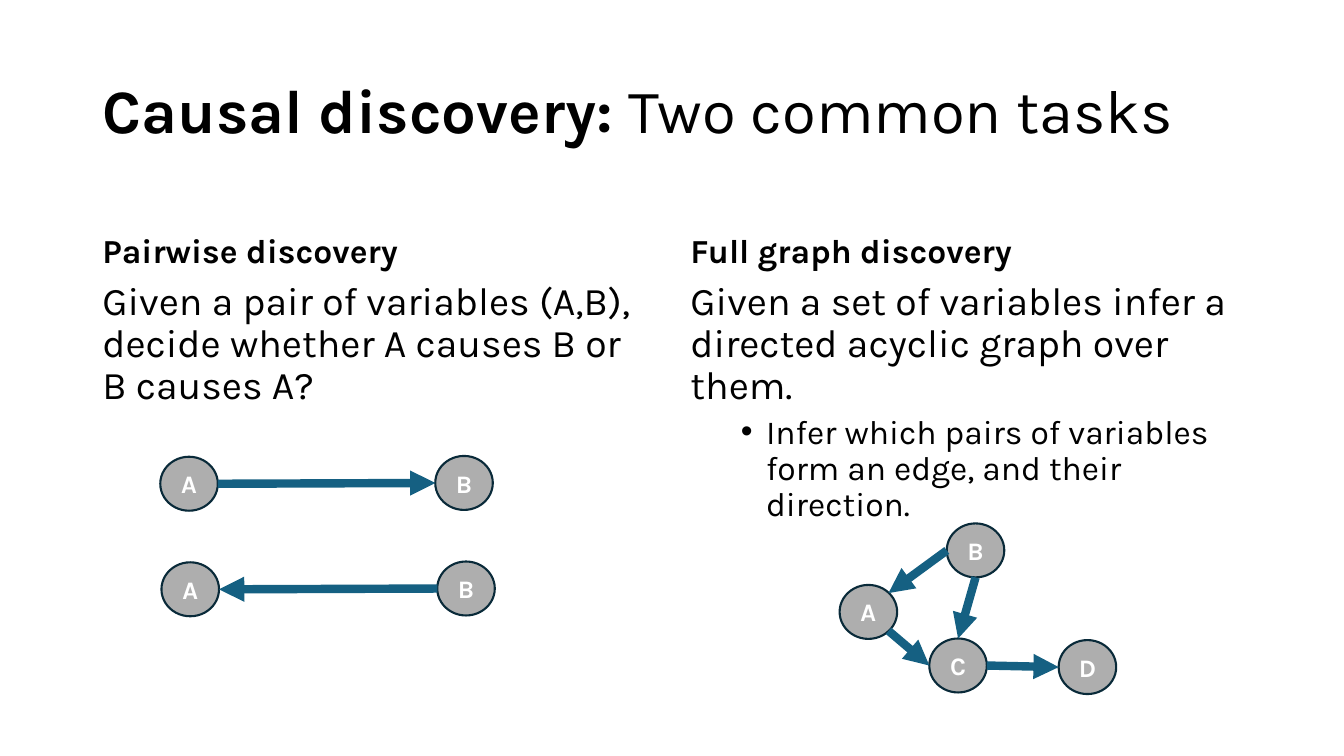
"""Build the slide on two common causal discovery tasks."""
from lxml.etree import SubElement
from pptx import Presentation
from pptx.dml.color import RGBColor
from pptx.enum.shapes import MSO_CONNECTOR as LINK, MSO_SHAPE as SHAPE
from pptx.enum.text import MSO_ANCHOR as ANCHOR, PP_ALIGN as ALIGN
from pptx.oxml.ns import qn
from pptx.util import Cm, Pt


def paint(fill, color):
    fill.solid()
    fill.fore_color.rgb = RGBColor.from_string(color)


def write(para, text, size=28, bold=False, color="000000", align=ALIGN.LEFT, spacing=0.9):
    para.alignment = align
    para.line_spacing = spacing
    span = para.add_run()
    span.text = text
    span.font.name = "Karla"
    span.font.size = Pt(size)
    span.font.bold = bold
    paint(span.font.fill, color)


deck = Presentation()
deck.slide_width, deck.slide_height = Cm(33.87), Cm(19.05)
page = deck.slides.add_slide(deck.slide_layouts[5])

title = page.shapes.title
title.left, title.top, title.width, title.height = Cm(2.33), Cm(1.01), Cm(29.21), Cm(3.68)
title.text_frame.vertical_anchor = ANCHOR.MIDDLE
title_para = title.text_frame.paragraphs[0]
write(title_para, "Causal discovery:", size=44, bold=True)
write(title_para, " Two common tasks", size=44)

tasks = [
    (2.33, "Pairwise discovery",
     "Given a pair of variables (A,B), decide whether A causes B or B causes A?", None),
    (17.15, "Full graph discovery",
     "Given a set of variables infer a directed acyclic graph over them.",
     "Infer which pairs of variables form an edge, and their direction."),
]
for left, heading, summary, detail in tasks:
    heading_box = page.shapes.add_textbox(Cm(left), Cm(4.67), Cm(14.36), Cm(2.29))
    heading_box.text_frame.word_wrap = True
    heading_box.text_frame.vertical_anchor = ANCHOR.BOTTOM
    write(heading_box.text_frame.paragraphs[0], heading, size=24, bold=True)

    body_box = page.shapes.add_textbox(Cm(left), Cm(6.96), Cm(14.36), Cm(10.24))
    body_box.text_frame.word_wrap = True
    write(body_box.text_frame.paragraphs[0], summary)
    if detail:
        para = body_box.text_frame.add_paragraph()
        para.space_before = Pt(5)
        props = para._p.get_or_add_pPr()
        props.set("marL", str(Cm(1.905)))
        props.set("indent", str(-Cm(0.635)))
        SubElement(props, qn("a:buFont"), typeface="Arial")
        SubElement(props, qn("a:buChar"), char="•")
        write(para, detail, size=24)

node_width, node_height = 1.45, 1.36
graphs = [
    ({"A": (4.04, 11.51), "B": (10.97, 11.49)}, [("A", "right", "B", "left")]),
    ({"A": (4.07, 14.17), "B": (11.02, 14.15)}, [("B", "left", "A", "right")]),
    ({"A": (21.16, 14.74), "B": (23.86, 13.19), "C": (23.42, 16.09), "D": (26.68, 16.13)},
     [("B", "left", "A", "upper right"), ("A", "lower right", "C", "left"),
      ("C", "right", "D", "left"), ("B", "bottom", "C", "top")]),
]
sites = {"left": (0, 0.5), "right": (1, 0.5), "top": (0.5, 0), "bottom": (0.5, 1),
         "upper right": (0.85, 0.15), "lower right": (0.85, 0.85)}

for nodes, edges in graphs:
    for name, (left, top) in nodes.items():
        node = page.shapes.add_shape(SHAPE.OVAL, Cm(left), Cm(top), Cm(node_width), Cm(node_height))
        node.shadow.inherit = False
        paint(node.fill, "AEAEAE")
        paint(node.line.fill, "092A39")
        node.line.width = Pt(1.5)
        node.text_frame.vertical_anchor = ANCHOR.MIDDLE
        write(node.text_frame.paragraphs[0], name, size=18, bold=True, color="FFFFFF",
              align=ALIGN.CENTER, spacing=1.0)

    for source, exit_site, target, entry_site in edges:
        ends = []
        for name, site in ((source, exit_site), (target, entry_site)):
            ends.append(Cm(nodes[name][0] + node_width * sites[site][0]))
            ends.append(Cm(nodes[name][1] + node_height * sites[site][1]))
        arrow = page.shapes.add_connector(LINK.STRAIGHT, *ends)
        paint(arrow.line.fill, "156082")
        arrow.line.width = Pt(6)
        SubElement(arrow.line._get_or_add_ln(), qn("a:tailEnd"), type="triangle")
        SubElement(arrow._element.spPr, qn("a:effectLst"))

deck.save("out.pptx")
